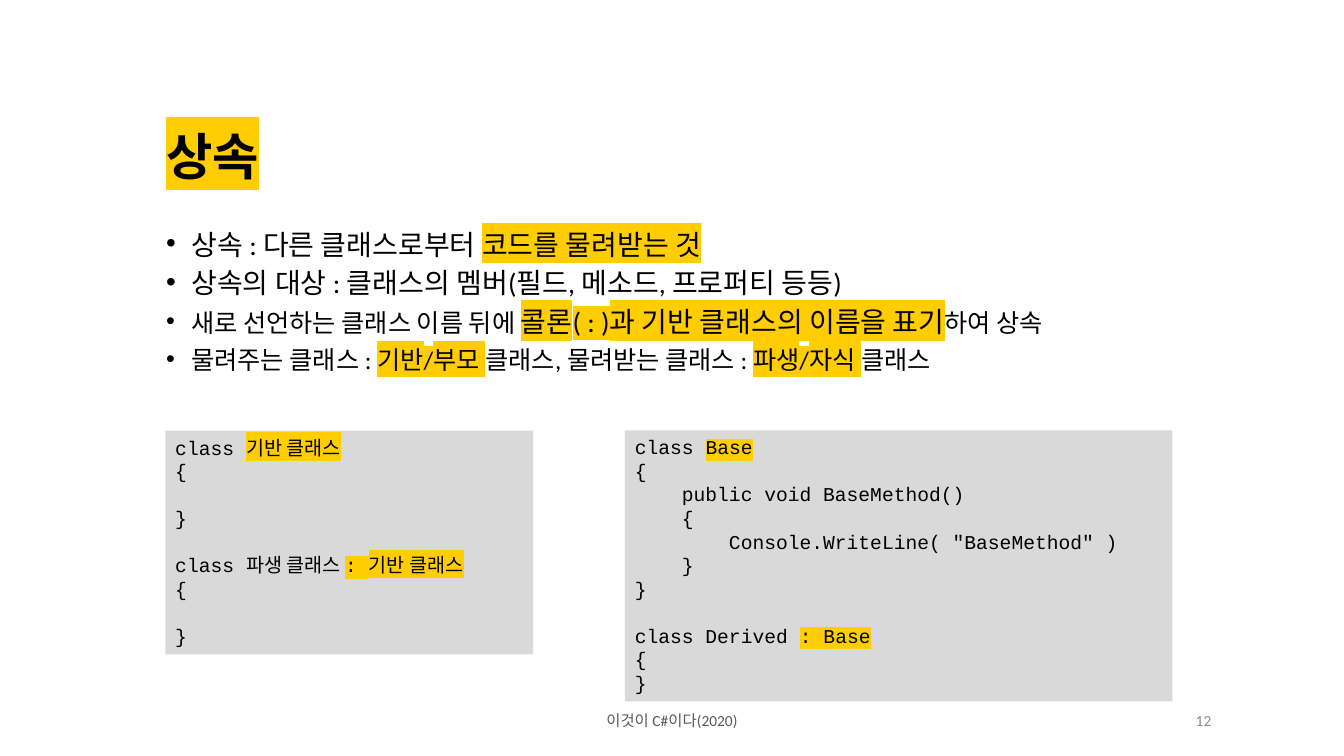
from lxml.etree import SubElement
from pptx import Presentation
from pptx.dml.color import RGBColor
from pptx.enum.shapes import MSO_SHAPE as Shape
from pptx.enum.text import MSO_ANCHOR as Anchor, PP_ALIGN as Align
from pptx.oxml.ns import qn
from pptx.util import Pt

BLACK = RGBColor(0, 0, 0)
YELLOW = RGBColor(0xFF, 0xCD, 0x00)
PANEL = RGBColor(0xD9, 0xD9, 0xD9)
FOOTER = RGBColor(0x59, 0x59, 0x59)
NUMBER = RGBColor(0x8C, 0x8C, 0x8C)
CODE_LINE = 16.8

BULLETS = [
    ("상속 : 다른 클래스로부터 |코드를 물려받는 것", 20, 20, Align.LEFT),
    ("상속의 대상 : 클래스의 멤버(필드, 메소드, 프로퍼티 등등)", 20, 20, Align.LEFT),
    ("새로 선언하는 클래스 이름 뒤에 |콜론( : )과 기반 클래스의 이름을 표기|하여 상속",
     18, 20, Align.JUSTIFY),
    ("물려주는 클래스 : |기반/부모 |클래스, 물려받는 클래스 : |파생/자식 |클래스",
     18, 18, Align.JUSTIFY),
]
SYNTAX = """class |기반 클래스
{

}

class 파생 클래스 |: 기반 클래스
{

}"""
EXAMPLE = """class |Base
{
    public void BaseMethod()
    {
        Console.WriteLine( "BaseMethod" )
    }
}

class Derived |: Base
{
}"""


def write(paragraph, text, size, marked_size=None, font="Calibri",
          color=BLACK, bold=False, align=Align.LEFT, before=0, spacing=None):
    """Fill a paragraph; every second part between bars is highlighted."""
    paragraph.alignment = align
    paragraph.space_before = Pt(before)
    if spacing:
        paragraph.line_spacing = spacing
    for index, part in enumerate(text.split("|")):
        if not part:
            continue
        marked = index % 2 == 1
        run = paragraph.add_run()
        run.text = part
        run.font.size = Pt(marked_size if marked and marked_size else size)
        run.font.bold = bold
        run.font.color.rgb = color
        if marked:
            highlight = SubElement(run.font._element, qn("a:highlight"))
            SubElement(highlight, qn("a:srgbClr"), val=str(YELLOW))
        run.font.name = font


def add_box(slide, left, top, width, height):
    """Add a wrapping text box and return its frame."""
    frame = slide.shapes.add_textbox(Pt(left), Pt(top), Pt(width), Pt(height)).text_frame
    frame.word_wrap = True
    return frame


def add_bullet(paragraph):
    """Give a paragraph a hanging round bullet."""
    properties = paragraph._p.get_or_add_pPr()
    properties.set("marL", str(Pt(18)))
    properties.set("indent", str(-Pt(18)))
    SubElement(properties, qn("a:buFont"), typeface="Arial")
    SubElement(properties, qn("a:buChar"), char="•")


def add_body(slide, left, top, width, height):
    """Add the heading and the bullets below it."""
    frame = add_box(slide, left, top, width, height)
    frame.margin_top = frame.margin_bottom = Pt(7.2)
    write(frame.paragraphs[0], "|상속", 36, font="TeX Gyre Pagella", bold=True, spacing=0.72)
    for index, (text, size, marked_size, align) in enumerate(BULLETS):
        paragraph = frame.add_paragraph()
        add_bullet(paragraph)
        write(paragraph, text, size, marked_size, align=align,
              before=10.5 if index else 37, spacing=0.72)


def add_code(slide, code, left, top, width, height):
    """Add a grey panel holding lines of code."""
    panel = slide.shapes.add_shape(Shape.RECTANGLE, Pt(left), Pt(top), Pt(width), Pt(height))
    panel.shadow.inherit = False
    panel.fill.solid()
    panel.fill.fore_color.rgb = PANEL
    panel.line.fill.background()
    frame = panel.text_frame
    frame.word_wrap = True
    frame.vertical_anchor = Anchor.TOP
    paragraph, gap = frame.paragraphs[0], 0
    for line in code.splitlines():
        if not line:
            gap += CODE_LINE
            continue
        paragraph = paragraph if not paragraph.runs else frame.add_paragraph()
        write(paragraph, line, 14, font="Courier New", before=gap, spacing=Pt(CODE_LINE))
        gap = 0


def add_footer(slide, text, color, align, left, top, width, height):
    """Add one vertically centred footer entry."""
    frame = add_box(slide, left, top, width, height)
    frame.vertical_anchor = Anchor.MIDDLE
    write(frame.paragraphs[0], text, 11, color=color, align=align)


def main():
    """Build the slide and save it."""
    presentation = Presentation()
    presentation.slide_width, presentation.slide_height = Pt(960), Pt(540)
    slide = presentation.slides.add_slide(presentation.slide_layouts[6])
    add_footer(slide, "이것이 C#이다(2020)", FOOTER, Align.CENTER, 318, 500.5, 324, 28.75)
    add_footer(slide, "12", NUMBER, Align.RIGHT, 678, 500.5, 194.4, 28.75)
    add_body(slide, 111.6, 93.1, 755.3, 217)
    add_code(slide, SYNTAX, 118.1, 307.6, 262.8, 159.8)
    add_code(slide, EXAMPLE, 446.4, 307.4, 391, 193.7)
    presentation.save("out.pptx")


if __name__ == "__main__":
    main()
